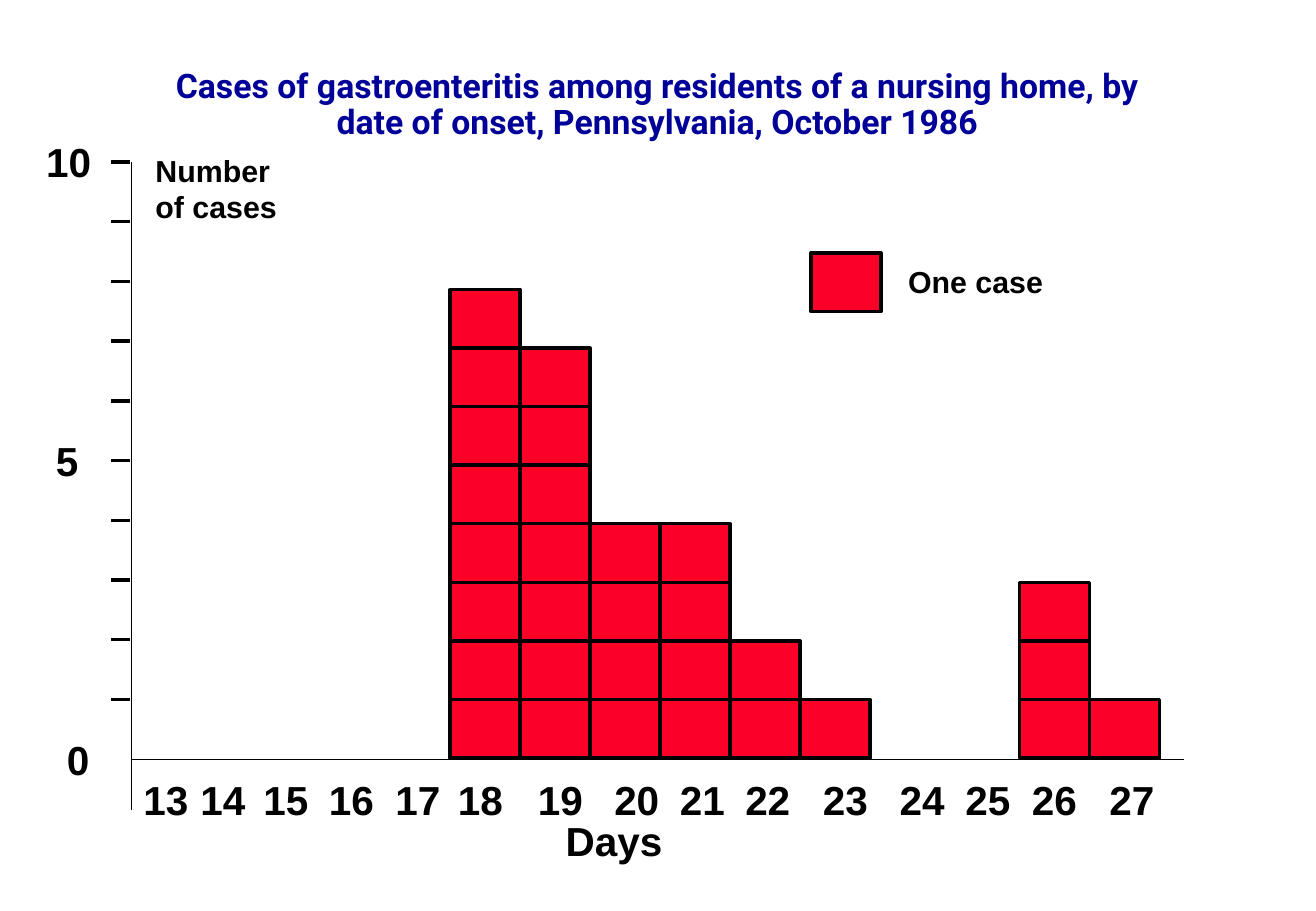
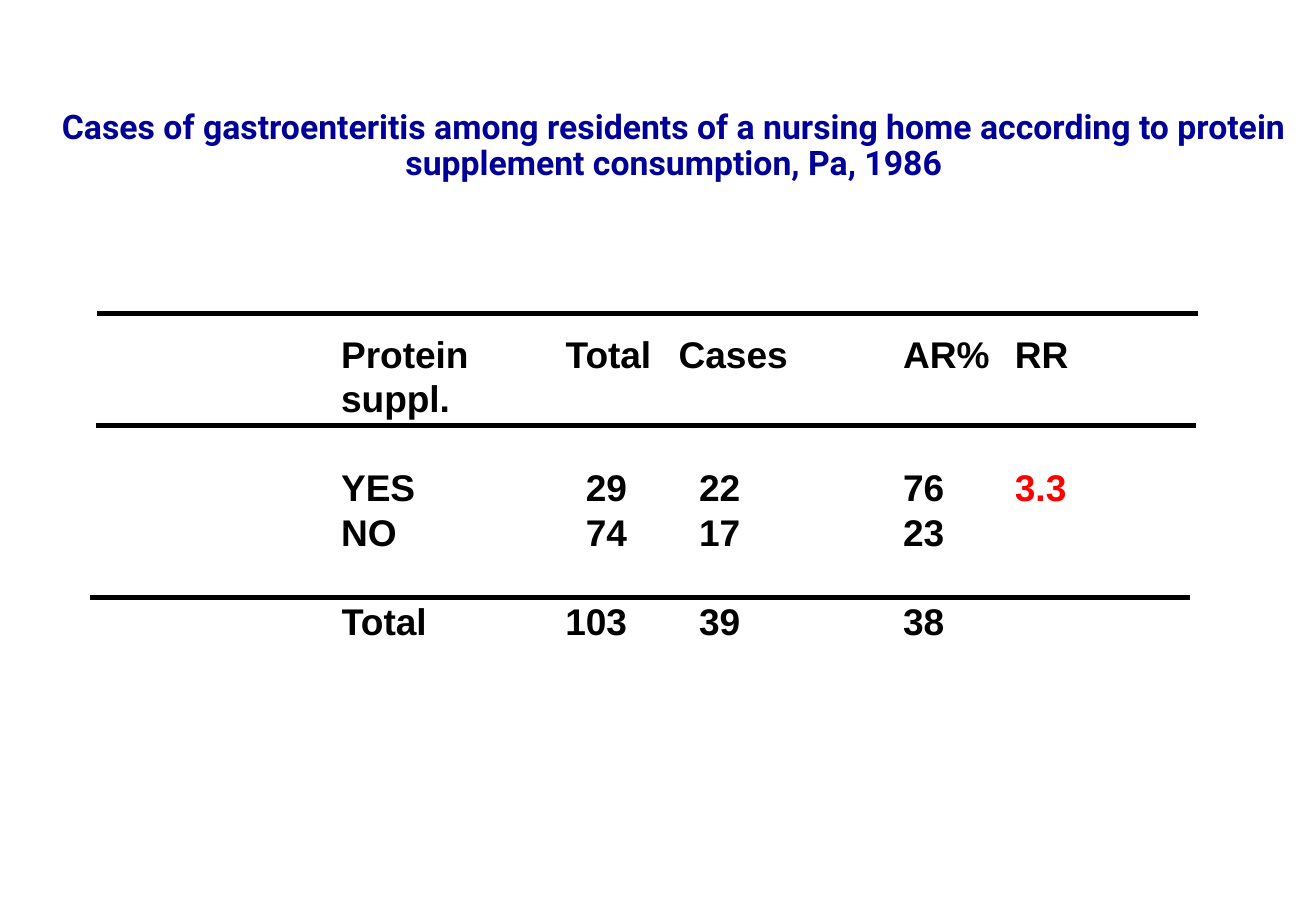
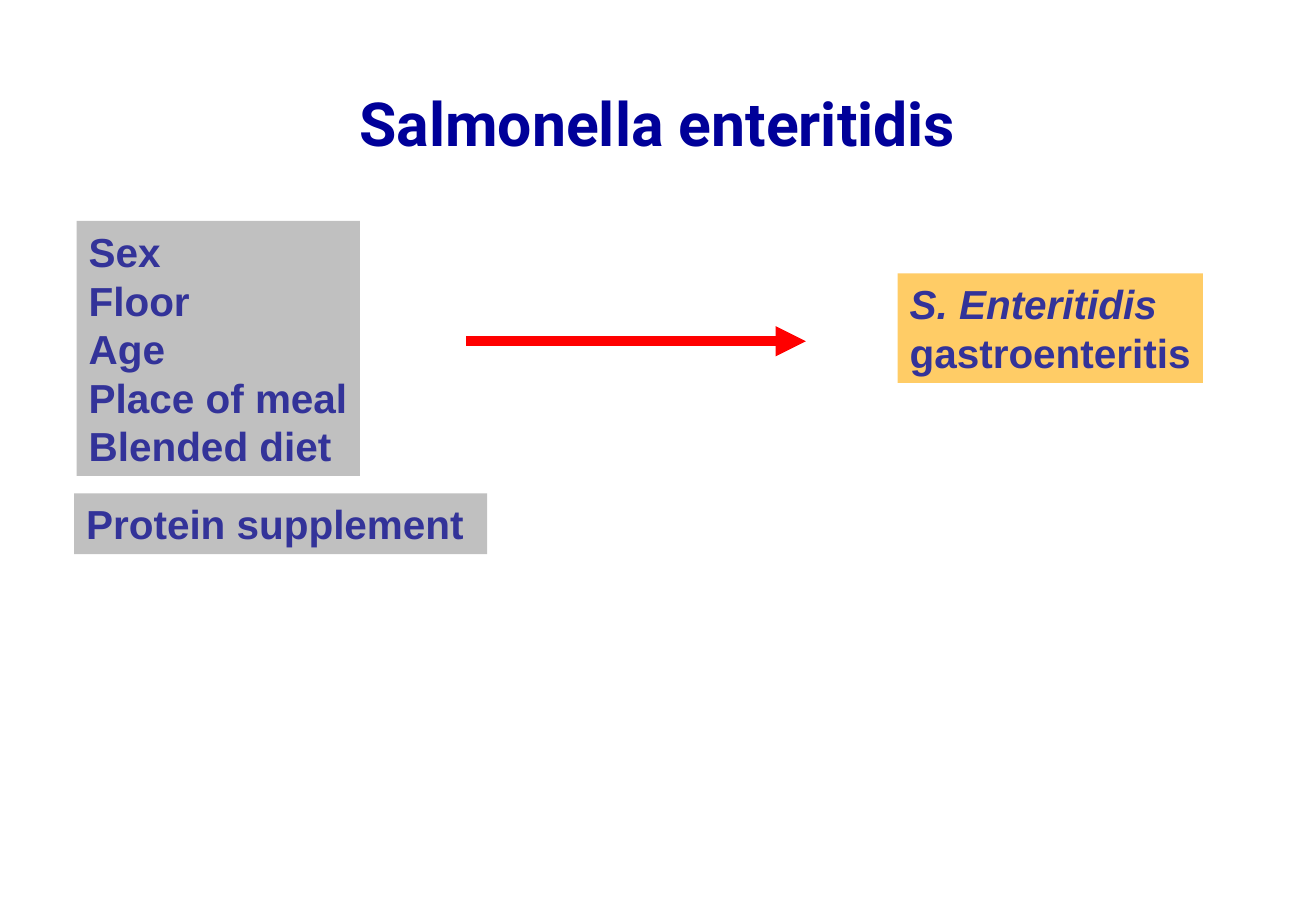
from pptx import Presentation
from pptx.dml.color import RGBColor
from pptx.enum.shapes import MSO_CONNECTOR as Wire, MSO_SHAPE as Form
from pptx.enum.text import MSO_ANCHOR as Anchor, PP_ALIGN as Align
from pptx.util import Pt
from lxml import etree

hue = RGBColor.from_string
NAVY, BLACK, RED = "000099", "000000", "FF0000"
CASE, GREY, SAND, INDIGO = "FC0128", "C0C0C0", "FFCC66", "333399"


def write(frame, text, size, color=BLACK, face="Arial", pads=(0, 0, 0, 0)):
    """Fill a text frame, one paragraph a line; pads are left, top, right, bottom."""
    frame.word_wrap = True
    for side, pad in zip(("left", "top", "right", "bottom"), pads):
        setattr(frame, "margin_" + side, Pt(pad))
    look = {"name": face, "size": Pt(size), "bold": True}
    for i, line in enumerate(text.split("\n")):
        para = frame.add_paragraph() if i else frame.paragraphs[0]
        run = para.add_run()
        run.text = line
        for key, value in look.items():
            setattr(run.font, key, value)
        run.font.color.rgb = hue(color)


def rule(slide, x1, y1, x2, y2, width, color=BLACK):
    """Draw a straight line without a shadow and return its line format."""
    wire = slide.shapes.add_connector(
        Wire.STRAIGHT, Pt(x1), Pt(y1), Pt(x2), Pt(y2))
    wire.line.width = Pt(width)
    wire.line.color.rgb = hue(color)
    props = wire.line._get_or_add_ln().getparent()
    etree.SubElement(props, "{http://schemas.openxmlformats.org/drawingml/2006/main}effectLst")
    return wire.line


deck = Presentation()
deck.slide_width, deck.slide_height = Pt(780.48), Pt(540)

# Slides and titles: text, size, left, top, width
titles = [
    ("Cases of gastroenteritis among residents of a nursing home, by "
     "date of onset, Pennsylvania, October 1986", 20, 84, 17.7, 612),
    ("Cases of gastroenteritis among residents of a nursing home "
     "according to protein supplement consumption, Pa, 1986",
     20, 19.5, 42, 760.5),
    ("Salmonella enteritidis", 36, 84, 30, 612),
]
slides = []
for text, size, x, y, w in titles:
    slide = deck.slides.add_slide(deck.slide_layouts[6])
    frame = slide.shapes.add_textbox(Pt(x), Pt(y), Pt(w), Pt(90)).text_frame
    write(frame, text, size, NAVY, "Roboto", (7.2, 3.6, 7.2, 3.6))
    frame.vertical_anchor = Anchor.MIDDLE
    frame.paragraphs[0].alignment = Align.CENTER
    frame.paragraphs[0].line_spacing = 0.9
    slides.append(slide)
curve, risk, cause = slides

# Slide 1: epidemic curve, one square a case
STEP, RISE, BASE = 41.5, 34.7, 449.3
spots = [(481, 150)]
for start, counts in ((267, (8, 7, 4, 4, 2, 1)), (604.8, (3, 1))):
    for col, count in enumerate(counts):
        for row in range(count):
            spots.append((start + col * STEP, BASE - (row + 1) * RISE))
for x, y in spots:
    case = curve.shapes.add_shape(Form.RECTANGLE, Pt(x), Pt(y), Pt(STEP), Pt(RISE))
    case.shadow.inherit = False
    case.fill.solid()
    case.fill.fore_color.rgb = hue(CASE)
    case.line.color.rgb = hue(BLACK)
    case.line.width = Pt(2)

rule(curve, 78, 480, 78, 96, 0.25)
rule(curve, 78, 450, 702, 450, 0.75)
for i in range(10):
    y = 96 + i * 35.4
    rule(curve, 66, y, 77, y, 2)

days = (85, 118.8, 156.2, 195, 234.5, 271.5, 319, 364.3, 403.2,
        442, 488, 533.5, 572.5, 612, 658)
labels = [("Number\nof cases", 92.2, 90, 18), ("One case", 538.6, 156.2, 18),
          ("10", 27.4, 81.4, 24), ("5", 33.1, 258.5, 24),
          ("0", 39.6, 435.6, 24), ("Days", 335.5, 483.8, 24)]
labels += [(str(day), x, 459.4, 24) for day, x in enumerate(days, 13)]
for text, x, y, size in labels:
    wide = 100 if len(text) > 2 else 34
    box = curve.shapes.add_textbox(Pt(x), Pt(y), Pt(wide), Pt(size * 1.2))
    write(box.text_frame, text, size)

# Slide 2: attack rates
rows = [("Protein\nsuppl.", "Total", "Cases", "AR%", "RR"),
        ("YES", "29", "22", "76", "3.3"),
        ("NO", "74", "17", "23", ""),
        ("Total", "103", "39", "38", "")]
wides = (123.2, 77, 133.2, 66.3, 66)
talls = (79.2, 26.4, 52.8, 26.4)
heads, bodies = (0, 10, 0, 0, 0), (0, 0, 12.2, 0, 0)
grid = risk.shapes.add_table(4, 5, Pt(202.3), Pt(196.6),
                             Pt(sum(wides)), Pt(sum(talls))).table
grid.first_row = grid.horz_banding = False
for col, wide in zip(grid.columns, wides):
    col.width = Pt(wide)
for r, (tall, texts) in enumerate(zip(talls, rows)):
    grid.rows[r].height = Pt(tall)
    for c, text in enumerate(texts):
        cell = grid.cell(r, c)
        cell.fill.background()
        write(cell.text_frame, text, 22, RED if text == "3.3" else BLACK)
        right = r > 0 and c == 1
        cell.margin_left = Pt((bodies if r else heads)[c])
        cell.margin_right = Pt(30.6 if right else 0)
        cell.margin_top = cell.margin_bottom = 0
        for para in cell.text_frame.paragraphs:
            para.line_spacing = Pt(26.4)
            para.alignment = Align.RIGHT if right else Align.LEFT
for x, y in ((57.8, 186), (56.9, 252), (53.3, 354.2)):
    rule(risk, x, y, x + 652.6, y, 3)

# Slide 3: exposures and outcome
boxes = [
    ("Protein supplement", 44, 292.5, 245, 36, GREY),
    ("S. Enteritidis\ngastroenteritis", 532.4, 162, 181, 65, SAND),
    ("Sex\nFloor\nAge\nPlace of meal\nBlended diet", 45.5, 131, 168, 151.2, GREY),
]
for text, x, y, w, h, color in boxes:
    box = cause.shapes.add_shape(Form.RECTANGLE, Pt(x), Pt(y), Pt(w), Pt(h))
    box.shadow.inherit = False
    box.fill.solid()
    box.fill.fore_color.rgb = hue(color)
    box.line.fill.background()
    frame = box.text_frame
    frame.vertical_anchor = Anchor.TOP
    write(frame, text, 24, INDIGO, pads=(7.2, 3.6, 0, 3.6))
    for para in frame.paragraphs:
        para.alignment = Align.LEFT
        para.runs[0].font.italic = para.text.startswith("S. ")

arrow = rule(cause, 276.5, 202.3, 478, 202.3, 6, RED)
etree.SubElement(arrow._get_or_add_ln(),
                 "{http://schemas.openxmlformats.org/drawingml/2006/main}tailEnd",
                 type="triangle")

deck.save("out.pptx")
